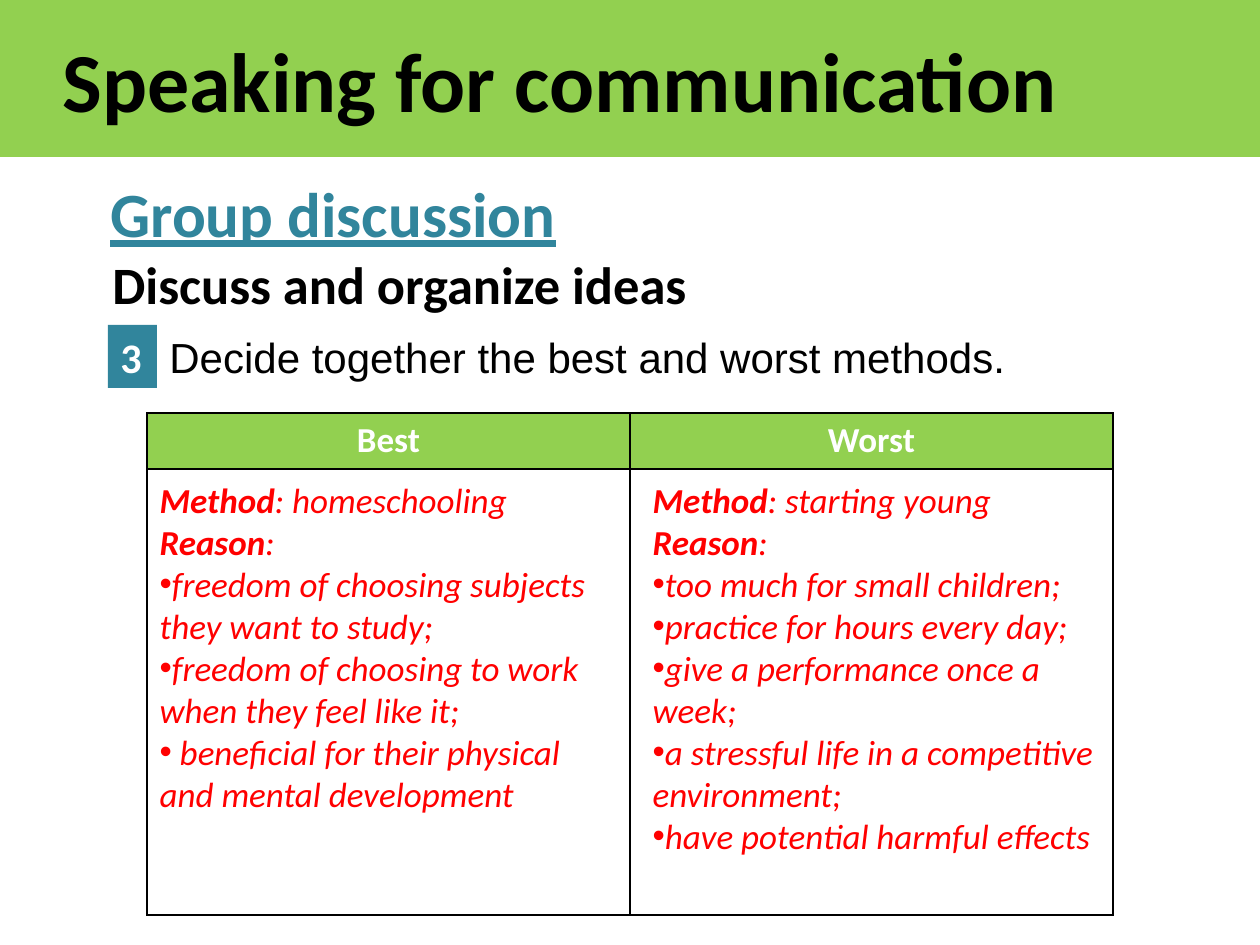
from lxml import etree
from pptx import Presentation
from pptx.dml.color import RGBColor
from pptx.enum.shapes import MSO_SHAPE
from pptx.enum.text import MSO_ANCHOR, MSO_AUTO_SIZE, PP_ALIGN
from pptx.oxml.ns import qn
from pptx.util import Emu, Pt

RECT = MSO_SHAPE.RECTANGLE
TOP, MIDDLE = MSO_ANCHOR.TOP, MSO_ANCHOR.MIDDLE
LEFT, CENTER = PP_ALIGN.LEFT, PP_ALIGN.CENTER
NO_AUTOFIT = MSO_AUTO_SIZE.NONE

GREEN = RGBColor(0x92, 0xD0, 0x50)
TEAL = RGBColor(0x31, 0x85, 0x9C)
RED = RGBColor(0xFF, 0x00, 0x00)
BLACK = RGBColor(0x00, 0x00, 0x00)
WHITE = RGBColor(0xFF, 0xFF, 0xFF)

PX_PER_INCH = 126
TWO_CONTENT_LAYOUT = 3

BEST = ("homeschooling", [
    "freedom of choosing subjects they want to study;",
    "freedom of choosing to work when they feel like it;",
    " beneficial for their physical and mental development",
])
WORST = ("starting young", [
    "too much for small children;",
    "practice for hours every day;",
    "give a performance once a week;",
    "a stressful life in a competitive environment;",
    "have potential harmful effects",
])


def px(n):
    return Emu(round(n * 914400 / PX_PER_INCH))


def place(sp, x, y, w, h):
    sp.left, sp.top, sp.width, sp.height = px(x), px(y), px(w), px(h)


def add_run(p, text, size=20, color=BLACK, font="Calibri", bold=False,
            italic=False, underline=False):
    r = p.add_run()
    r.text = text
    f = r.font
    f.name, f.size, f.bold, f.italic = font, Pt(size), bold, italic
    f.underline = underline
    f.color.rgb = color


def add_label(slide, box, text, wrap=True, **fmt):
    sp = slide.shapes.add_textbox(*map(px, box))
    sp.text_frame.word_wrap = wrap
    add_run(sp.text_frame.paragraphs[0], text, **fmt)


def add_badge(slide, box, text):
    sp = slide.shapes.add_shape(RECT, *map(px, box))
    sp.shadow.inherit = False
    sp.fill.solid()
    sp.fill.fore_color.rgb = TEAL
    sp.line.fill.background()
    tf = sp.text_frame
    tf.vertical_anchor = TOP
    tf.paragraphs[0].alignment = LEFT
    add_run(tf.paragraphs[0], text, size=24, color=WHITE, bold=True)


def set_title(slide, text):
    sp = slide.shapes.title
    place(sp, 0, 0, 1260, 157)
    sp.fill.solid()
    sp.fill.fore_color.rgb = GREEN
    tf = sp.text_frame
    tf.auto_size = NO_AUTOFIT
    tf.vertical_anchor = MIDDLE
    p = tf.paragraphs[0]
    p.alignment = LEFT
    p._p.get_or_add_pPr().set("indent", str(px(50)))
    add_run(p, text, size=48, bold=True)


def add_list_paragraph(tf, first=False, bullet=False):
    p = tf.paragraphs[0] if first else tf.add_paragraph()
    pPr = p._p.get_or_add_pPr()
    pPr.set("marL", "0")
    pPr.set("indent", "0")
    if bullet:
        etree.SubElement(pPr, qn("a:buFont"), typeface="Arial")
        etree.SubElement(pPr, qn("a:buChar"), char="•")
    else:
        etree.SubElement(pPr, qn("a:buNone"))
    p.space_before = Pt(0)
    return p


def fill_ideas(sp, box, method, reasons):
    """Write one method and its bulleted reasons into a body placeholder."""
    place(sp, *box)
    tf = sp.text_frame
    tf.auto_size = NO_AUTOFIT
    fmt = dict(color=RED, italic=True)
    for i, (head, rest) in enumerate([("Method", f": {method}"), ("Reason", ":")]):
        p = add_list_paragraph(tf, first=i == 0)
        add_run(p, head, bold=True, **fmt)
        add_run(p, rest, **fmt)
    for reason in reasons:
        add_run(add_list_paragraph(tf, bullet=True), reason, **fmt)


def style_cell(cell, fill):
    """Give the cell a thin black border and a plain fill."""
    tcPr = cell._tc.get_or_add_tcPr()
    for side in ("a:lnL", "a:lnR", "a:lnT", "a:lnB"):
        ln = etree.SubElement(tcPr, qn(side), w=str(Pt(1)))
        solid = etree.SubElement(ln, qn("a:solidFill"))
        etree.SubElement(solid, qn("a:srgbClr"), val=str(BLACK))
    cell.fill.solid()
    cell.fill.fore_color.rgb = fill


def add_ideas_table(slide, box, headers, row_heights):
    frame = slide.shapes.add_table(len(row_heights), len(headers), *map(px, box))
    table = frame.table
    for row, height in zip(table.rows, row_heights):
        row.height = px(height)
    for col, header in enumerate(headers):
        style_cell(table.cell(0, col), GREEN)
        style_cell(table.cell(1, col), WHITE)
        p = table.cell(0, col).text_frame.paragraphs[0]
        p.alignment = CENTER
        add_run(p, header, color=WHITE, bold=True)
    # The lists lie on top of the table, so it goes to the back.
    slide.shapes._spTree.insert(2, frame._element)


def main():
    prs = Presentation()
    prs.slide_width, prs.slide_height = px(1260), px(945)
    slide = prs.slides.add_slide(prs.slide_layouts[TWO_CONTENT_LAYOUT])

    set_title(slide, "Speaking for communication")
    add_label(slide, (98, 168, 476, 89), "Group discussion", wrap=False,
              size=36, color=TEAL, bold=True, underline=True)
    add_label(slide, (100, 246, 648, 77), "Discuss and organize ideas",
              size=30, bold=True)
    add_badge(slide, (108, 325, 49, 63), "3")
    add_label(slide, (157, 325, 925, 63),
              "Decide together the best and worst methods.",
              size=24, font="Arial")

    add_ideas_table(slide, (147, 413, 966, 502), ("Best", "Worst"), (56, 446))
    fill_ideas(slide.placeholders[1], (147, 472, 483, 352), *BEST)
    fill_ideas(slide.placeholders[2], (640, 472, 483, 394), *WORST)

    prs.save("out.pptx")


if __name__ == "__main__":
    main()
